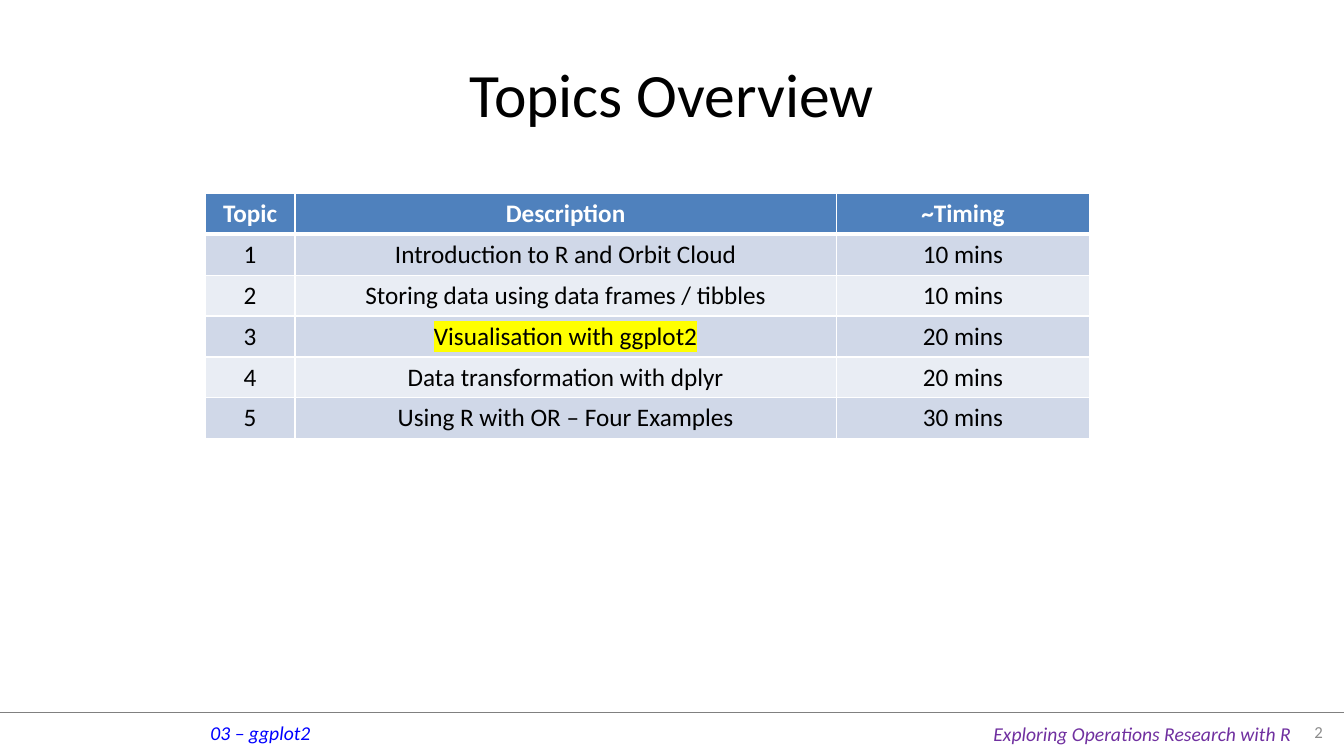
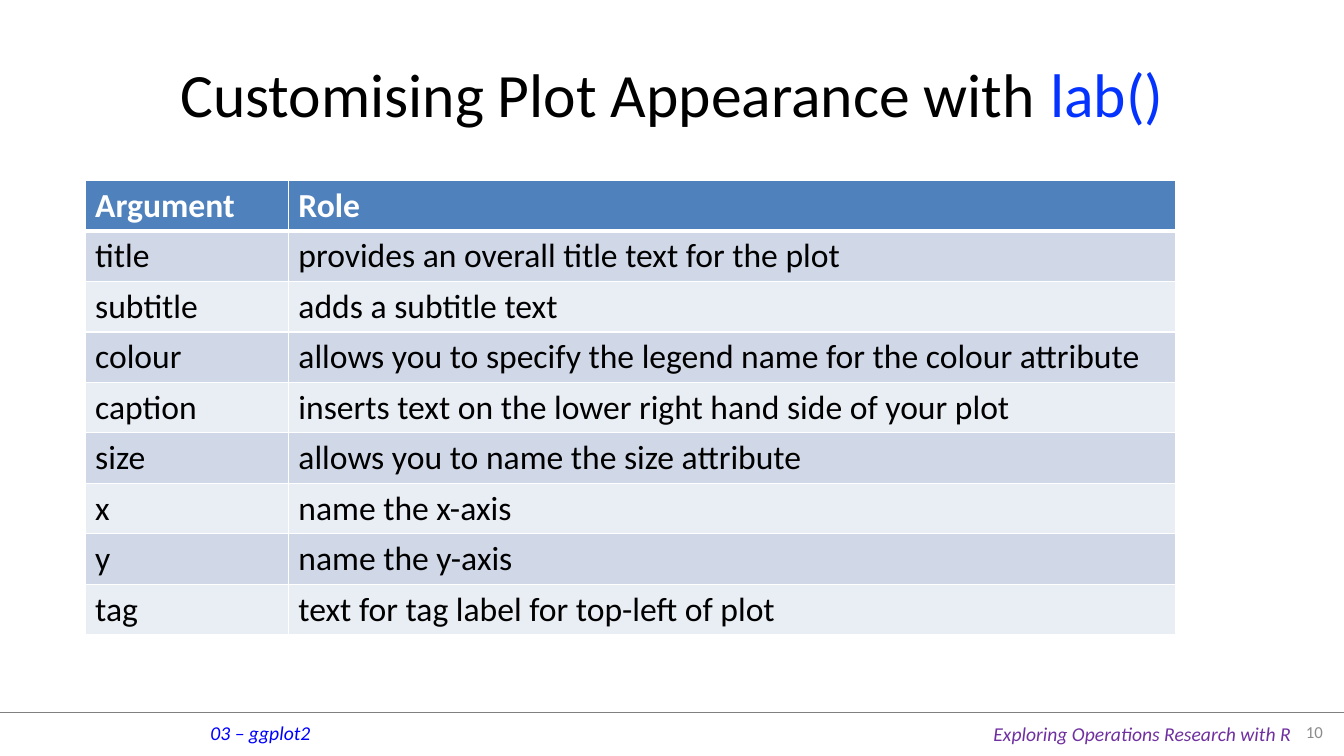
"""Build two course slides, each with a title, a table and a shared footer."""
from lxml.etree import SubElement
from pptx import Presentation
from pptx.dml.color import RGBColor
from pptx.enum.shapes import MSO_CONNECTOR
from pptx.enum.text import MSO_ANCHOR, PP_ALIGN
from pptx.oxml import parse_xml
from pptx.oxml.ns import nsdecls, qn
from pptx.util import Pt

WIDTH, HEIGHT = 960, 540
FONT = "Calibri"
TITLE_BOX = (48, 21.6, 864, 90)
FOOTER_BOX = (0, 509, WIDTH, 31)
COLOURS = {
    "text": "000000",
    "white": "FFFFFF",
    "code": "0432FF",
    "header": "4F81BD",
    "band_dark": "D0D8E8",
    "band_light": "E9EDF4",
    "marker": "FFFF00",
    "rule": "808080",
    "session": "0000FF",
    "course": "7030A0",
    "number": "8C8C8C",
}

TOPICS = [
    ("Topic", "Description", "~Timing"),
    ("1", "Introduction to R and Orbit Cloud", "10 mins"),
    ("2", "Storing data using data frames / tibbles", "10 mins"),
    ("3", "Visualisation with ggplot2", "20 mins"),
    ("4", "Data transformation with dplyr", "20 mins"),
    ("5", "Using R with OR – Four Examples", "30 mins"),
]
ARGUMENTS = [
    ("Argument", "Role"),
    ("title", "provides an overall title text for the plot"),
    ("subtitle", "adds a subtitle text"),
    ("colour", "allows you to specify the legend name for the colour attribute"),
    ("caption", "inserts text on the lower right hand side of your plot"),
    ("size", "allows you to name the size attribute"),
    ("x", "name the x-axis"),
    ("y", "name the y-axis"),
    ("tag", "text for tag label for top-left of plot"),
]


def colour(name):
    return RGBColor.from_string(COLOURS[name])


def add_span(para, text, size, tint="text", bold=False, italic=False):
    span = para.add_run()
    span.text = text
    span.font.name = FONT
    span.font.size = Pt(size)
    span.font.bold = bold
    span.font.italic = italic
    span.font.color.rgb = colour(tint)
    return span


def highlight(span):
    latin = span.font._element.find(qn("a:latin"))
    latin.addprevious(parse_xml(
        f'<a:highlight {nsdecls("a")}><a:srgbClr val="{COLOURS["marker"]}"/></a:highlight>'))


def set_borders(cell, top, bottom):
    properties = cell._tc.get_or_add_tcPr()
    sides = {"lnL": 1, "lnR": 1, "lnT": top, "lnB": bottom}
    for position, (side, weight) in enumerate(sides.items()):
        properties.insert(position, parse_xml(
            f'<a:{side} {nsdecls("a")} w="{Pt(weight)}"><a:solidFill>'
            f'<a:srgbClr val="{COLOURS["white"]}"/></a:solidFill></a:{side}>'))


def place_title(page, box, spans):
    title = page.shapes.title
    title.left, title.top, title.width, title.height = map(Pt, box)
    title.text_frame.vertical_anchor = MSO_ANCHOR.MIDDLE
    para = title.text_frame.paragraphs[0]
    para.alignment = PP_ALIGN.CENTER
    for text, tint in spans:
        add_span(para, text, 44, tint)


def place_label(page, box, text, size, tint, italic=True):
    label = page.shapes.add_textbox(*map(Pt, box))
    label.text_frame.word_wrap = False
    para = label.text_frame.paragraphs[0]
    add_span(para, text, size, tint, italic=italic)
    return label


def place_footer(page, box, number):
    left, top, width, height = box
    rule = page.shapes.add_connector(
        MSO_CONNECTOR.STRAIGHT, Pt(left), Pt(top), Pt(left + width), Pt(top))
    rule.line.color.rgb = colour("rule")
    rule.line.width = Pt(0.25)
    SubElement(rule._element.spPr, qn("a:effectLst"))
    place_label(page, (left + 143.3, top + 2.2, 86.4, 24.5),
                "03 – ggplot2", 14, "session")
    place_label(page, (left + width - 257.5, top + 2.9, 229, 24.5),
                "Exploring Operations Research with R", 14, "course")
    counter = place_label(page, (left + width - 48, top, 40, 28),
                          str(number), 12, "number", italic=False)
    counter.text_frame.word_wrap = True
    counter.text_frame.vertical_anchor = MSO_ANCHOR.MIDDLE
    counter.text_frame.paragraphs[0].alignment = PP_ALIGN.RIGHT


def place_table(page, box, rows, widths, size, alignment, marked=None):
    table = page.shapes.add_table(len(rows), len(widths), *map(Pt, box)).table
    for column, width in zip(table.columns, widths):
        column.width = Pt(width)
    for index, texts in enumerate(rows):
        table.rows[index].height = Pt(box[3] / len(rows))
        header = index == 0
        band = "header" if header else "band_dark" if index % 2 else "band_light"
        for cell, text in zip(table.rows[index].cells, texts):
            cell.fill.solid()
            cell.fill.fore_color.rgb = colour(band)
            set_borders(cell, 3 if index == 1 else 1, 3 if header else 1)
            para = cell.text_frame.paragraphs[0]
            para.alignment = alignment
            span = add_span(para, text, size, "white" if header else "text", header)
            if text == marked:
                highlight(span)


def add_page(deck, number, title):
    page = deck.slides.add_slide(deck.slide_layouts.get_by_name("Title Only"))
    place_footer(page, FOOTER_BOX, number)
    place_title(page, TITLE_BOX, title)
    return page


def main():
    deck = Presentation()
    deck.slide_width, deck.slide_height = Pt(WIDTH), Pt(HEIGHT)

    overview = add_page(deck, 2, [("Topics Overview", "text")])
    place_table(overview, (146.5, 138.2, 632, 175.2), TOPICS, (64.3, 386.5, 181.2),
                18, PP_ALIGN.CENTER, marked="Visualisation with ggplot2")

    appearance = add_page(deck, 10, [("Customising Plot Appearance with ", "text"),
                                     ("lab()", "code")])
    place_table(appearance, (60.8, 129, 779, 324), ARGUMENTS, (145.2, 633.8),
                24, PP_ALIGN.LEFT)

    deck.save("out.pptx")


if __name__ == "__main__":
    main()
